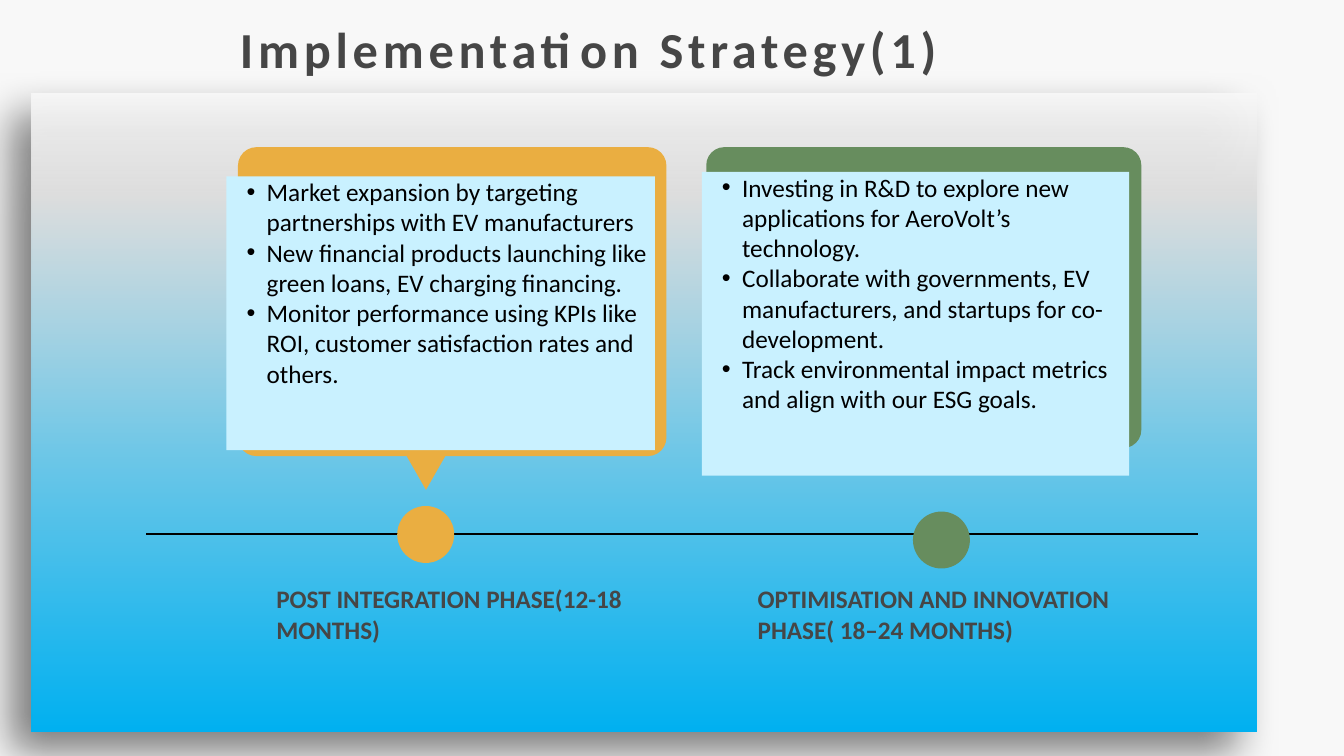
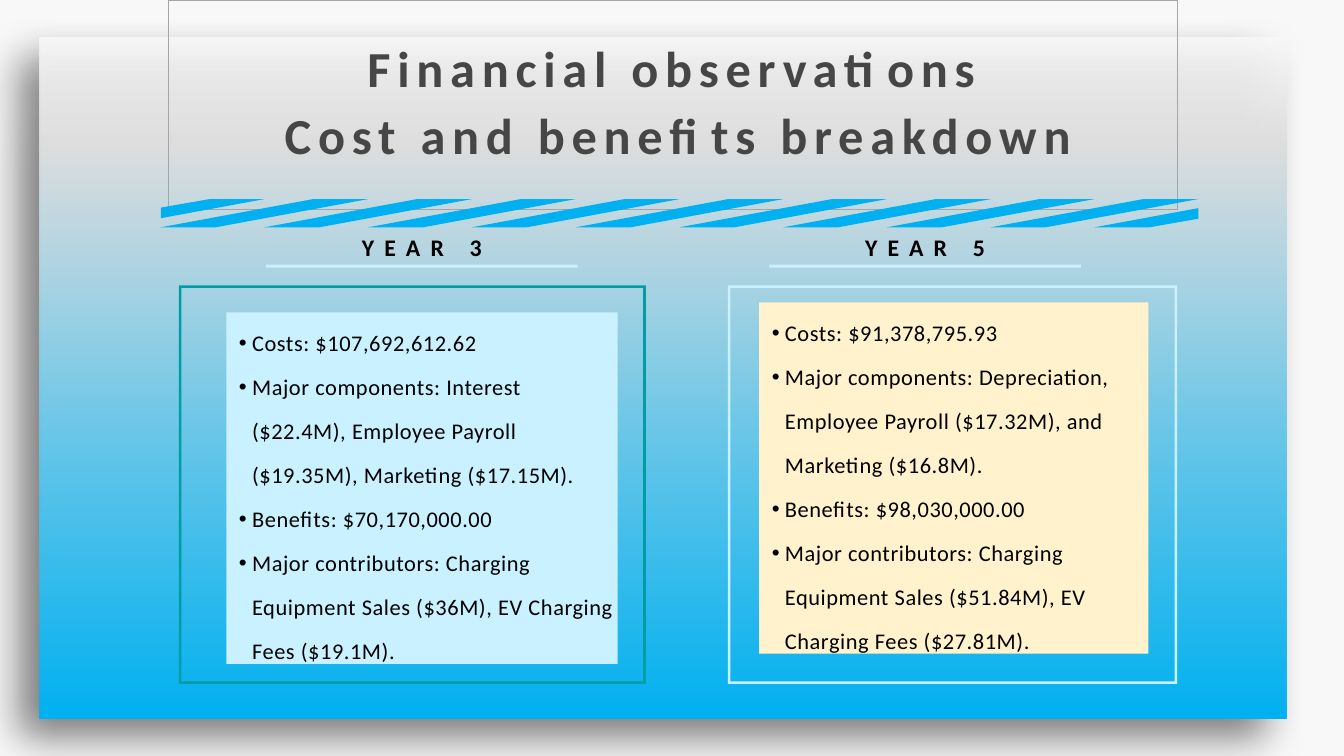
from lxml.etree import SubElement
from pptx import Presentation
from pptx.dml.color import RGBColor
from pptx.enum.shapes import MSO_CONNECTOR, MSO_SHAPE
from pptx.enum.text import MSO_ANCHOR, MSO_AUTO_SIZE, PP_ALIGN
from pptx.oxml import parse_xml
from pptx.oxml.ns import nsdecls, qn
from pptx.util import Inches, Pt

RECT, ROUND, OVAL = MSO_SHAPE.RECTANGLE, MSO_SHAPE.ROUNDED_RECTANGLE, MSO_SHAPE.OVAL
FRAME, WEDGE = MSO_SHAPE.FRAME, MSO_SHAPE.ISOSCELES_TRIANGLE
LEFT, MID = PP_ALIGN.LEFT, PP_ALIGN.CENTER
TOP, FIXED = MSO_ANCHOR.TOP, MSO_AUTO_SIZE.NONE
STRAIGHT = MSO_CONNECTOR.STRAIGHT

FACE = "Calibri"
HEX = {"page": "F8F8F8", "ink": "000000", "dark": "464646", "ice": "C9F1FF",
       "cream": "FFF2CC", "gold": "EAAE41", "green": "678D5E", "teal": "009DA4",
       "sky": "00B0F0", "rim": "A5A5A5"}
FADE = [(0, "F8F8F8", 90), (16, "DDDDDD", 100), (37, "A6D2E2", 100),
        (56, "6FC7E7", 100), (100, "00B0F0", 100)]

PHASES = [
    {"name": "POST INTEGRATION PHASE(12-18 MONTHS)", "tint": "gold",
     "back": (4.72, 2.92, 8.5, 6.13), "list": (4.49, 3.5, 8.5, 5.43),
     "dot": (7.88, 10.04), "label": (5.48, 11.58, 7.05, 1.21),
     "lines": ["Market expansion by targeting partnerships with EV manufacturers",
               "New financial products launching like green loans, EV charging financing.",
               "Monitor performance using KPIs like ROI, customer satisfaction rates and others."]},
    {"name": "OPTIMISATION AND INNOVATION PHASE( 18–24 MONTHS)", "tint": "green",
     "back": (14.01, 2.92, 8.63, 5.97), "list": (13.92, 3.41, 8.48, 6.03),
     "dot": (18.11, 10.15), "label": (15.03, 11.58, 7.52, 1.21),
     "lines": ["Investing in R&D to explore new applications for AeroVolt’s technology.",
               "Collaborate with governments, EV manufacturers, and startups for co-development.",
               "Track environmental impact metrics and align with our ESG goals."]},
]
YEARS = [
    {"name": "YEAR 3", "rim": "teal", "fill": "ice", "head": 5.28,
     "frame": (3.55, 5.66, 9.26, 7.91), "list": (4.49, 6.2, 7.76, 6.97),
     "lines": ["Costs: $107,692,612.62",
               "Major components: Interest ($22.4M), Employee Payroll ($19.35M), Marketing ($17.15M).",
               "Benefits: $70,170,000.00",
               "Major contributors: Charging Equipment Sales ($36M), EV Charging Fees ($19.1M)."]},
    {"name": "YEAR 5", "rim": "ice", "fill": "cream", "head": 15.26,
     "frame": (14.44, 5.66, 8.91, 7.91), "list": (15.06, 6, 7.72, 6.97),
     "lines": ["Costs: $91,378,795.93",
               "Major components: Depreciation, Employee Payroll ($17.32M), and Marketing ($16.8M).",
               "Benefits: $98,030,000.00",
               "Major contributors: Charging Equipment Sales ($51.84M), EV Charging Fees ($27.81M)."]},
]


def color(name):
    """Return the named colour."""
    return RGBColor.from_string(HEX[name])


def shape(slide, kind, box, fill=None):
    """Add a flat preset shape without a line."""
    item = slide.shapes.add_shape(kind, *map(Inches, box))
    item.shadow.inherit = False
    item.line.fill.background()
    paint(item, fill)
    return item


def paint(item, fill):
    """Fill a shape with a named colour, or clear it."""
    if fill:
        item.fill.solid()
        item.fill.fore_color.rgb = color(fill)
    else:
        item.fill.background()


def place(item, box):
    """Move a placeholder to a box, in front of what is drawn so far."""
    item.left, item.top, item.width, item.height = map(Inches, box)
    item.element.getparent().append(item.element)


def write(item, lines, size, lead, tint="ink", bold=False, align=LEFT, gap=0, hang=None):
    """Write paragraphs, with bullets where a hanging indent is given."""
    frame = item.text_frame
    frame.word_wrap, frame.auto_size, frame.vertical_anchor = True, FIXED, TOP
    frame.margin_left = frame.margin_top = frame.margin_right = frame.margin_bottom = 0
    for i, line in enumerate(lines):
        para = frame.paragraphs[0] if i == 0 else frame.add_paragraph()
        run = para.add_run()
        run.text = line
        para.alignment, para.line_spacing = align, Pt(lead)
        para.space_before = para.space_after = Pt(0)
        if hang:
            props = para._p.get_or_add_pPr()
            props.set("marL", str(Inches(hang[0])))
            props.set("indent", str(Inches(hang[1])))
            SubElement(props, qn("a:buFont"), typeface="Arial")
            SubElement(props, qn("a:buChar"), char="•")
        font = para.font
        font.name, font.size, font.bold = FACE, Pt(size), bold
        font.color.rgb = color(tint)
        if gap:
            run._r.get_or_add_rPr().set("spc", str(round(gap * 100)))


def label(slide, box, text, *args, **more):
    """Add a text box with one line of text."""
    write(slide.shapes.add_textbox(*map(Inches, box)), [text], *args, **more)


def title(slide, box, text, lead, gap, align):
    """Set the slide title."""
    place(slide.shapes.title, box)
    write(slide.shapes.title, [text], 72, lead, "dark", True, align, gap)


def panel(slide, box):
    """Add the page colour and the shaded panel with its soft shadow."""
    slide.background.fill.solid()
    slide.background.fill.fore_color.rgb = color("page")
    item = shape(slide, RECT, box)
    stops = "".join(
        f'<a:gs pos="{at * 1000}"><a:srgbClr val="{tone}"><a:alpha val="{alpha * 1000}"/>'
        "</a:srgbClr></a:gs>" for at, tone, alpha in FADE)
    fade = parse_xml(f'<a:gradFill {nsdecls("a")} rotWithShape="1"><a:gsLst>{stops}</a:gsLst>'
                     '<a:lin ang="5400000" scaled="0"/></a:gradFill>')
    props = item.element.spPr
    props.replace(props.find(qn("a:noFill")), fade)
    props.find(qn("a:effectLst")).append(parse_xml(
        f'<a:outerShdw {nsdecls("a")} blurRad="{Pt(60)}" dist="{Pt(40)}" dir="8100000" '
        'algn="tr" rotWithShape="0"><a:srgbClr val="000000"><a:alpha val="50000"/>'
        "</a:srgbClr></a:outerShdw>"))


def phase(slide, slot, data):
    """Add one phase: card, list, dot on the line and label."""
    back = shape(slide, ROUND, data["back"], data["tint"])
    back.adjustments[0] = 0.06
    shape(slide, OVAL, (*data["dot"], 1.13, 1.13), data["tint"])
    label(slide, data["label"], data["name"], 36, 43.3, "dark", True)
    body = slide.placeholders[slot]
    place(body, data["list"])
    paint(body, "ice")
    write(body, data["lines"], 36, 43.2, hang=(0.8, -0.4))


def year(slide, slot, data):
    """Add one year: heading, rule, frame and list."""
    left = data["head"]
    frame = shape(slide, FRAME, data["frame"], data["rim"])
    frame.adjustments[0] = 0.05 / data["frame"][3]
    shape(slide, RECT, (left, 5.25, 6.18, 0.06), "ice")
    label(slide, (left + 0.31, 4.52, 5.56, 0.63), data["name"], 34, 47.5,
          bold=True, align=MID, gap=14.6)
    body = slide.placeholders[slot]
    place(body, data["list"])
    paint(body, data["fill"])
    write(body, data["lines"], 32, 62.8, gap=0.8, hang=(0.51, -0.26))


def band(slide, box):
    """Add the band of slanted stripes, cut off at both ends."""
    left, top, wide, high = box
    step, thick = wide / 10, 1.09
    edge = step - thick
    start = [(edge, 0), (0, 0.17), (0, 0.38), (step, 0)]
    parts = [start, [(wide - x, high - y) for x, y in start]]
    for k in range(9):
        low, tip = k * step, (k + 1) * step + edge
        parts.append([(tip, 0), (low, high), (low + thick, high), (tip + thick, 0)])
    pen = None
    for part in parts:
        first, *rest = [(Inches(left + x), Inches(top + y)) for x, y in part]
        if pen:
            pen.move_to(*first)
        else:
            pen = slide.shapes.build_freeform(*first)
        pen.add_line_segments(rest)
    item = pen.convert_to_shape()
    item.shadow.inherit = False
    item.line.fill.background()
    paint(item, "sky")


def strategy(slide):
    """Build the timeline slide."""
    panel(slide, (0.62, 1.86, 24.3, 12.65))
    axis = slide.shapes.add_connector(STRAIGHT, *map(Inches, (2.9, 10.6, 23.76, 10.6)))
    axis.line.color.rgb, axis.line.width = color("ink"), Pt(3)
    SubElement(axis.element.spPr, qn("a:effectLst"))
    shape(slide, WEDGE, (6.2, 5.78, 4.5, 3.94), "gold").rotation = 180
    for slot, data in enumerate(PHASES, 1):
        phase(slide, slot, data)
    title(slide, (4.76, 0.87, 16.57, 0.78), "Implementation Strategy(1)", 49.5, 6.8, LEFT)


def finance(slide):
    """Build the cost and benefit slide."""
    panel(slide, (0.79, 0.75, 24.73, 13.5))
    for slot, data in enumerate(YEARS, 1):
        year(slide, slot, data)
    rim = shape(slide, RECT, (3.33, 0, 20.02, 4.15))
    rim.line.color.rgb, rim.line.width = color("rim"), Pt(0.75)
    band(slide, (3.19, 3.95, 20.58, 0.56))
    label(slide, (3.19, 2.16, 20.53, 1.12), "Cost and benefits breakdown", 72, 79.8,
          "dark", True, MID, 9.7)
    title(slide, (4.34, 0.82, 17.97, 1.12), "Financial observations", 79.8, 9.7, MID)


def main():
    """Build and save the deck."""
    deck = Presentation()
    deck.slide_width, deck.slide_height = Inches(26.66), Inches(15)
    for build in (strategy, finance):
        build(deck.slides.add_slide(deck.slide_layouts[3]))
    deck.save("out.pptx")


if __name__ == "__main__":
    main()
